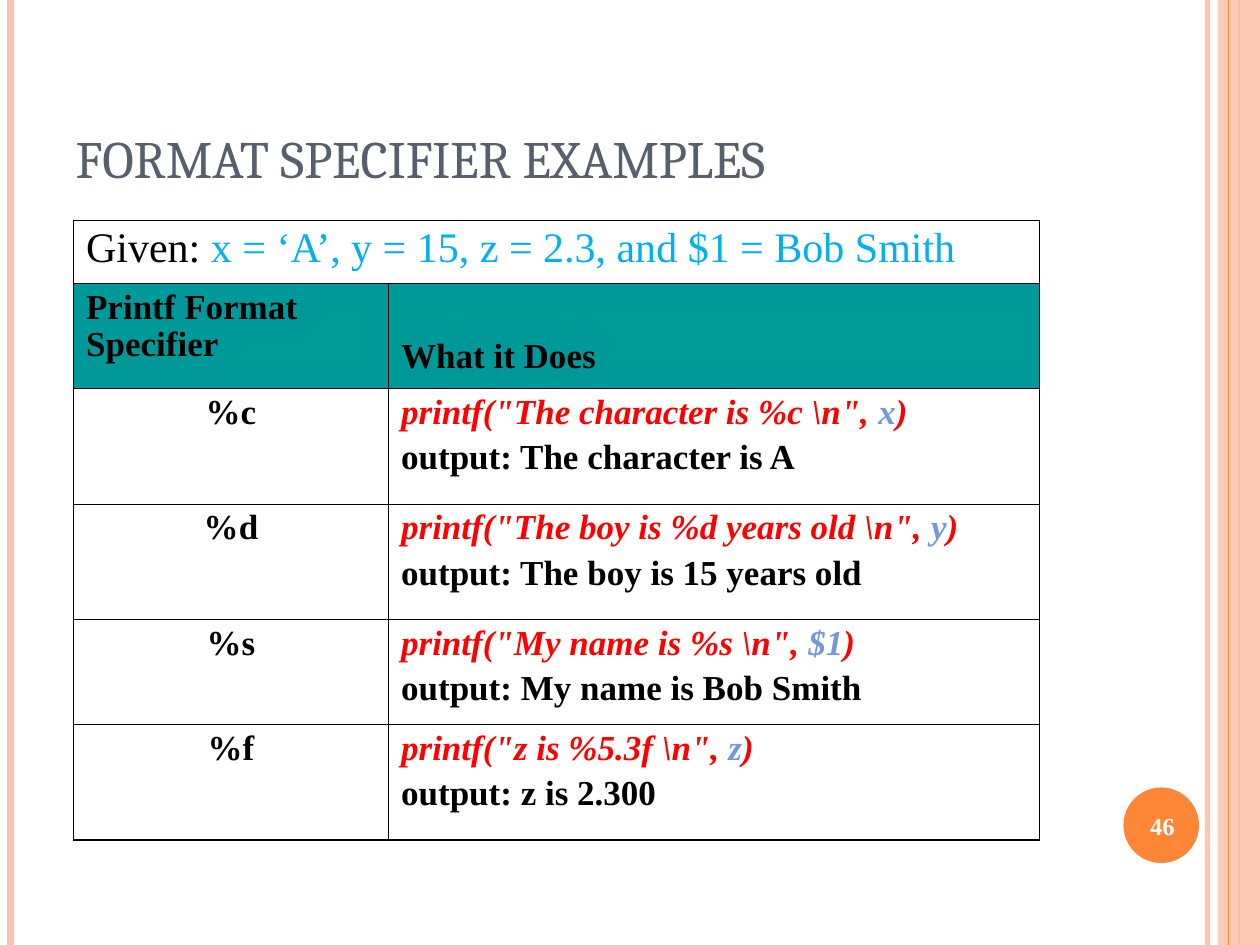
"""Builds a slide that explains printf format specifiers with a table."""
from lxml.etree import SubElement
from pptx import Presentation
from pptx.dml.color import RGBColor
from pptx.enum.shapes import MSO_CONNECTOR, MSO_SHAPE
from pptx.enum.text import MSO_ANCHOR as Anchor, PP_ALIGN as Align
from pptx.oxml.ns import qn
from pptx.util import Inches, Pt

COLUMNS, ROWS = 120, 90
PEACH, ORANGE, TEAL = "FEC3AE", "FE8637", "009999"
BLACK, RED, BLUE, SKY = "000000", "FF0000", "7598D9", "00B0F0"
EXAMPLES = [
    ("%c", "The character is %c", "x", "The character is A"),
    ("%d", "The boy is %d years old", "y", "The boy is 15 years old"),
    ("%s", "My name is %s", "$1", "My name is Bob Smith"),
    ("%f", "z is %5.3f", "z", "z is 2.300"),
]


def color(text):
    return RGBColor.from_string(text)


class SlideBuilder:
    body_font = "Times New Roman"
    title_font = "Cambria"
    outer_border, inner_border = 1.08, 0.45

    def __init__(self, deck):
        self.cell_width = deck.slide_width / COLUMNS
        self.cell_height = deck.slide_height / ROWS
        self.page = deck.slides.add_slide(deck.slide_layouts[5])

    def across(self, columns):
        return round(columns * self.cell_width)

    def down(self, rows):
        return round(rows * self.cell_height)

    def area(self, left, top, width, height):
        return self.across(left), self.down(top), self.across(width), self.down(height)

    def fade(self, element, percent):
        tint = next(element.iter(qn("a:srgbClr")))
        SubElement(tint, qn("a:alpha"), val=str(percent * 1000))

    def vertical_line(self, column, tint, width, opacity=100):
        x = self.across(column)
        line = self.page.shapes.add_connector(
            MSO_CONNECTOR.STRAIGHT, x, 0, x, self.down(ROWS))
        line.line.color.rgb = color(tint)
        line.line.width = Pt(width)
        if opacity < 100:
            self.fade(line._element.spPr, opacity)
        SubElement(line._element.spPr, qn("a:effectLst"))

    def shape(self, kind, place, tint, opacity=100):
        shape = self.page.shapes.add_shape(kind, *self.area(*place))
        shape.shadow.inherit = False
        shape.fill.solid()
        shape.fill.fore_color.rgb = color(tint)
        shape.line.fill.background()
        if opacity < 100:
            self.fade(shape._element.spPr, opacity)

    def title(self, text, place, size, tint):
        box = self.page.shapes.title
        box.left, box.top, box.width, box.height = self.area(*place)
        frame = box.text_frame
        frame.vertical_anchor = Anchor.BOTTOM
        self.fill_para(frame.paragraphs[0], [(text, tint)], size,
                       name=self.title_font, align=Align.LEFT)

    def label(self, text, place, size, tint):
        frame = self.page.shapes.add_textbox(*self.area(*place)).text_frame
        frame.word_wrap = True
        frame.vertical_anchor = Anchor.MIDDLE
        self.fill_para(frame.paragraphs[0], [(text, tint)], size,
                       bold=True, align=Align.CENTER)

    def fill_para(self, para, spans, size, name=None, bold=False, italic=False, align=None):
        para.alignment = align
        font = para.font
        font.name, font.size = name or self.body_font, Pt(size)
        font.bold, font.italic = bold, italic
        for text, tint in spans:
            span = para.add_run()
            span.text = text
            span.font.color.rgb = color(tint)

    def table(self, left, top, widths, heights):
        place = self.area(left, top, sum(widths), sum(heights))
        table = self.page.shapes.add_table(len(heights), len(widths), *place).table
        table.first_row = table.horz_banding = False
        for column, width in zip(table.columns, widths):
            column.width = self.across(width)
        for row, height in zip(table.rows, heights):
            row.height = self.down(height)
        last_row, last_column = len(heights) - 1, len(widths) - 1
        for r, row in enumerate(table.rows):
            for c, cell in enumerate(row.cells):
                edges = {"L": c == 0, "R": c == last_column,
                         "T": r == 0, "B": r == last_row}
                self.borders(cell, edges)
                cell.fill.background()
        return table

    def borders(self, cell, edges):
        properties = cell._tc.get_or_add_tcPr()
        for side, outer in edges.items():
            width = Pt(self.outer_border if outer else self.inner_border)
            line = SubElement(properties, qn(f"a:ln{side}"), w=str(width))
            SubElement(SubElement(line, qn("a:solidFill")), qn("a:srgbClr"), val=BLACK)

    def cell_line(self, cell, spans, size=20, bold=True, italic=False, align=None):
        frame = cell.text_frame
        para = frame.add_paragraph() if frame.text else frame.paragraphs[0]
        self.fill_para(para, spans, size, bold=bold, italic=italic, align=align)
        para.space_before = Pt(size / 4)
        para.line_spacing = 0.95

    def header(self, cell, text):
        cell.fill.solid()
        cell.fill.fore_color.rgb = color(TEAL)
        self.cell_line(cell, [(text, BLACK)])


def main():
    deck = Presentation()
    deck.slide_width, deck.slide_height = Inches(10), Inches(7.5)
    slide = SlideBuilder(deck)

    slide.vertical_line(115, PEACH, 3, opacity=93)
    slide.vertical_line(1, PEACH, 4.5)
    slide.vertical_line(118, ORANGE, 1.5)
    slide.shape(MSO_SHAPE.RECTANGLE, (116, 0, 4, ROWS), PEACH, opacity=87)
    slide.vertical_line(117, ORANGE, 0.75)
    slide.shape(MSO_SHAPE.OVAL, (107, 75, 7.2, 7.2), ORANGE)

    slide.title("FORMAT SPECIFIER EXAMPLES", (6, 3.6, 98, 15), 30, "575F6D")
    slide.label("46", (106.7, 75.2, 8, 6.8), 14, "FFFFFF")

    table = slide.table(7, 21, widths=[30, 62], heights=[6, 10, 11, 11, 10, 11])
    given = table.cell(0, 0)
    given.merge(table.cell(0, 1))
    slide.cell_line(given, [("Given: ", BLACK),
                            ("x = ‘A’, y = 15, z = 2.3, and $1 = Bob Smith", SKY)],
                    size=24, bold=False)

    slide.header(table.cell(1, 0), "Printf Format Specifier")
    purpose = table.cell(1, 1)
    slide.header(purpose, "What it Does")
    purpose.vertical_anchor = Anchor.BOTTOM
    purpose.margin_bottom = Inches(0.1)

    for row, (specifier, template, argument, output) in enumerate(EXAMPLES, start=2):
        slide.cell_line(table.cell(row, 0), [(specifier, BLACK)], align=Align.CENTER)
        example = table.cell(row, 1)
        call = [(f'printf("{template} \\n", ', RED), (argument, BLUE), (")", RED)]
        slide.cell_line(example, call, italic=True)
        slide.cell_line(example, [(f"output: {output}", BLACK)])

    deck.save("out.pptx")


if __name__ == "__main__":
    main()
